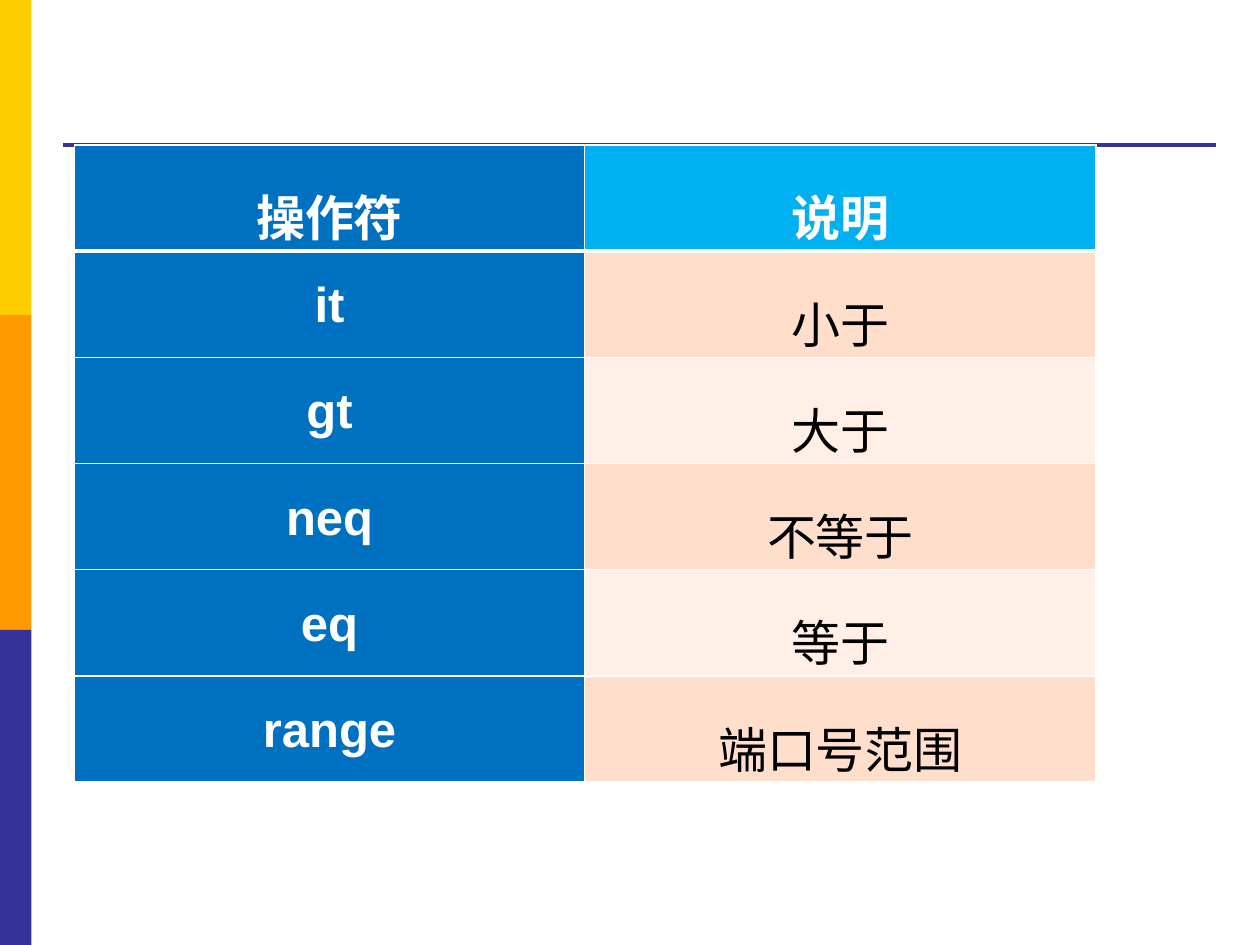
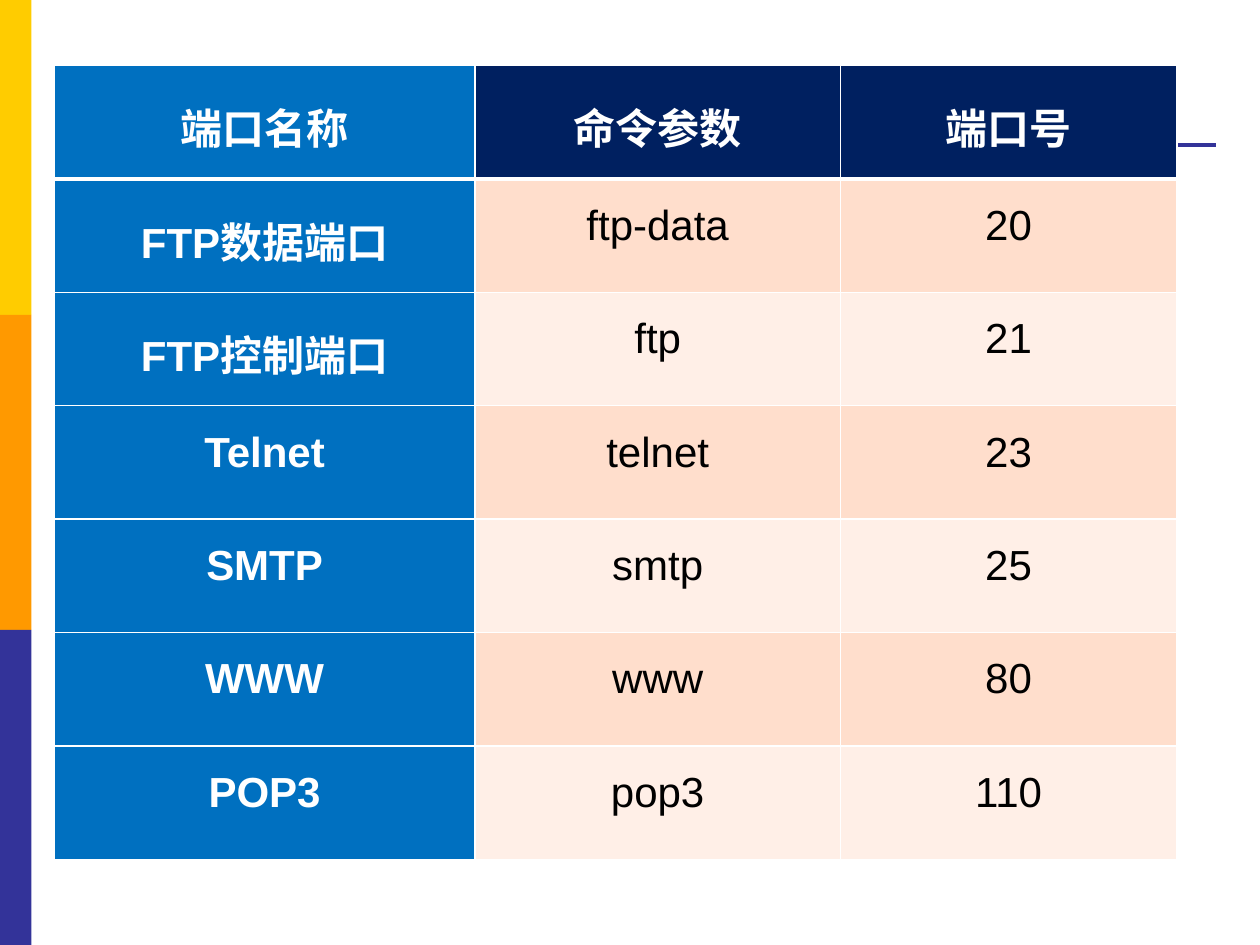
from pptx import Presentation
from pptx.dml.color import RGBColor
from pptx.enum.shapes import MSO_CONNECTOR, MSO_SHAPE
from pptx.enum.text import PP_ALIGN
from pptx.oxml.ns import qn
from pptx.util import Pt
from lxml.etree import SubElement

PX = 9144
WIDE, HIGH = 1000, 750
WHITE, BLACK, NAVY = "FFFFFF", "000000", "333399"
BLUE, SKY, DARK = "0070C0", "00B0F0", "002060"
BANDS = ("FFDECC", "FFEFE7")
STRIPES = ("FFCC00", "FF9900", NAVY)
FONT = "Arial"

SIGNS = [
    ("操作符", "说明"),
    ("it", "小于"),
    ("gt", "大于"),
    ("neq", "不等于"),
    ("eq", "等于"),
    ("range", "端口号范围"),
]
PORTS = [
    ("端口名称", "命令参数", "端口号"),
    ("FTP数据端口", "ftp-data", "20"),
    ("FTP控制端口", "ftp", "21"),
    ("Telnet", "telnet", "23"),
    ("SMTP", "smtp", "25"),
    ("WWW", "www", "80"),
    ("POP3", "pop3", "110"),
]


def tint(code):
    """Turn a hex string into a colour."""
    return RGBColor.from_string(code)


def px(*sizes):
    """Turn px lengths into EMU."""
    return [size * PX for size in sizes]


def draw_side(slide, box):
    """Stack the equal colour stripes in the box."""
    left, top, width, height = box
    step = height // len(STRIPES)
    for i, code in enumerate(STRIPES):
        stripe = slide.shapes.add_shape(
            MSO_SHAPE.RECTANGLE, *px(left, top + i * step, width, step))
        stripe.shadow.inherit = False
        stripe.fill.solid()
        stripe.fill.fore_color.rgb = tint(code)
        stripe.line.fill.background()


def draw_rule(slide, left, top, width):
    """Draw the level title rule."""
    rule = slide.shapes.add_connector(
        MSO_CONNECTOR.STRAIGHT, *px(left, top, left + width, top))
    rule.line.color.rgb = tint(NAVY)
    rule.line.width = Pt(2.25)
    SubElement(rule._element.spPr, qn("a:effectLst"))


def edge_cell(cell, upper, lower):
    """Give a cell white edges, with the top and bottom widths in points."""
    props = cell._tc.get_or_add_tcPr()
    for side, width in (("L", 1), ("R", 1), ("T", upper), ("B", lower)):
        line = SubElement(props, qn(f"a:ln{side}"), w=str(Pt(width)))
        fill = SubElement(line, qn("a:solidFill"))
        SubElement(fill, qn("a:srgbClr"), val=WHITE)


def fill_cell(cell, text, size, back, strong):
    """Set the text, padding and fill of a cell."""
    cell.margin_left, cell.margin_right = px(7, 7)
    cell.margin_top = cell.margin_bottom = 0
    cell.fill.solid()
    cell.fill.fore_color.rgb = tint(back)
    para = cell.text_frame.paragraphs[0]
    para.text = text
    para.alignment = PP_ALIGN.CENTER
    para.line_spacing = 1.5
    font = para.runs[0].font
    font.name, font.size, font.bold = FONT, Pt(size), strong
    font.color.rgb = tint(WHITE if strong else BLACK)


def draw_grid(slide, left, top, cols, tall, rows, size, head):
    """Draw a table with a strong first row and column."""
    frame = slide.shapes.add_table(
        len(rows), len(cols), *px(left, top, sum(cols), tall * len(rows)))
    table = frame.table
    for col, width in zip(table.columns, px(*cols)):
        col.width = width
    for r, words in enumerate(rows):
        table.rows[r].height = tall * PX
        for c, text in enumerate(words):
            cell = table.cell(r, c)
            if c == 0:
                back = BLUE
            else:
                back = BANDS[(r - 1) % 2] if r else head
            edge_cell(cell, 3 if r == 1 else 1, 1 if r else 3)
            fill_cell(cell, text, size, back, r == 0 or c == 0)


def add_page(deck):
    """Add a slide with the shared stripes and rule."""
    slide = deck.slides.add_slide(deck.slide_layouts[6])
    draw_side(slide, (0, 0, 25, HIGH))
    draw_rule(slide, 50, 115, 915)
    return slide


def main():
    """Build and save the deck."""
    deck = Presentation()
    deck.slide_width, deck.slide_height = px(WIDE, HIGH)
    draw_grid(add_page(deck), 59, 115, (405, 406), 83, SIGNS, 28, SKY)
    draw_grid(add_page(deck), 43, 52, (334, 290, 267), 90, PORTS, 24, DARK)
    deck.save("out.pptx")


if __name__ == "__main__":
    main()
